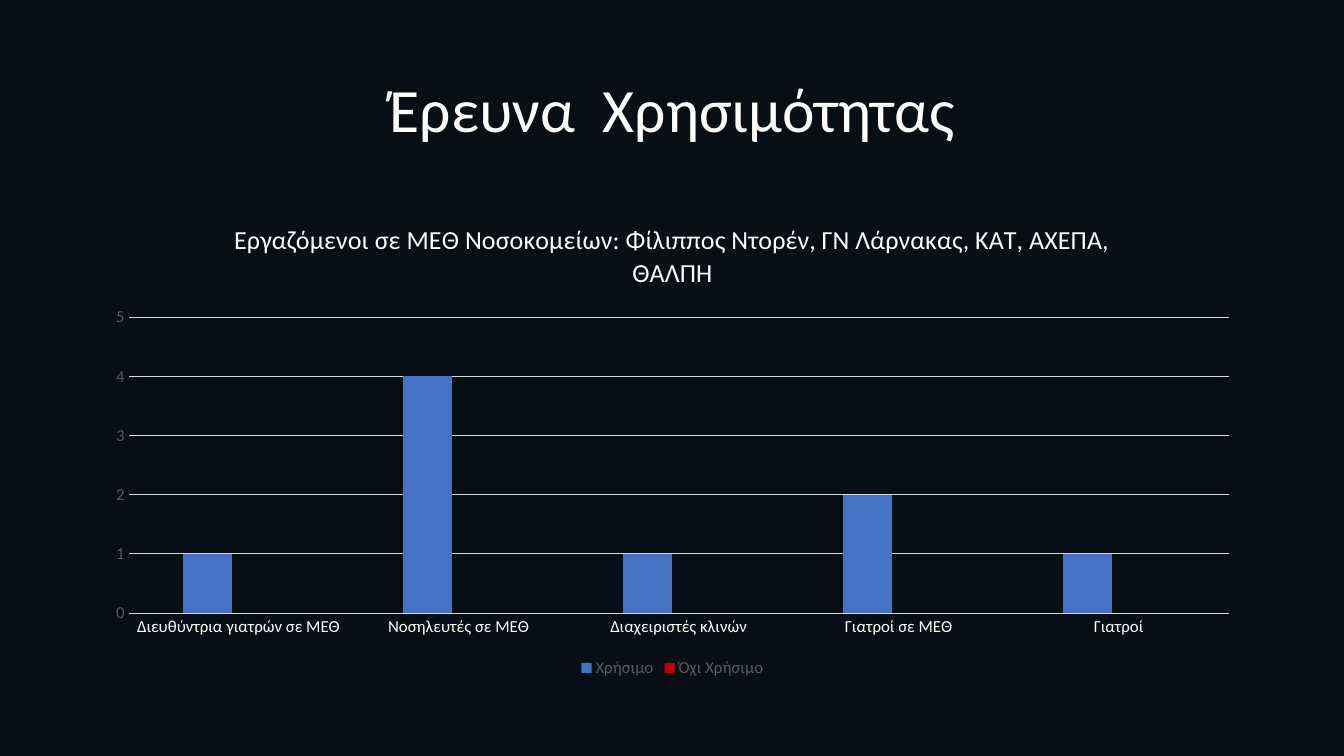
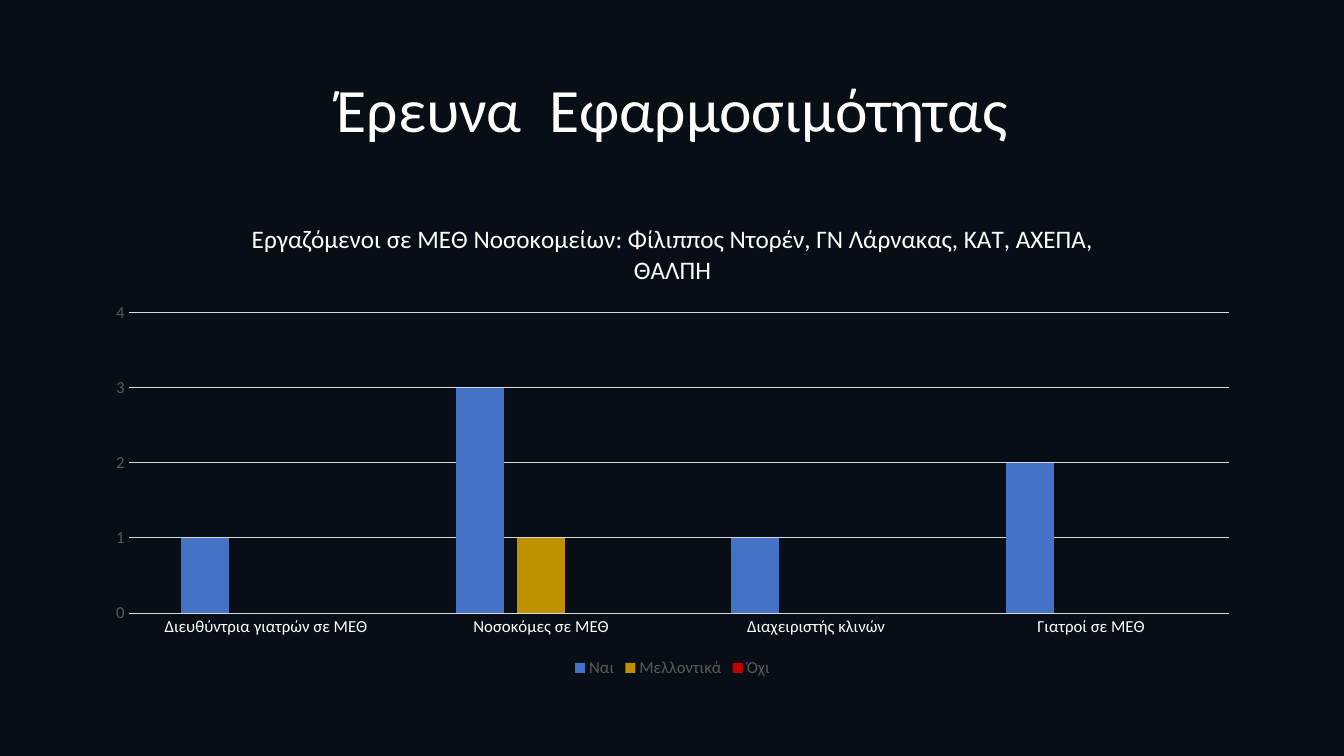
from pptx import Presentation
from pptx.chart.data import CategoryChartData
from pptx.dml.color import RGBColor
from pptx.enum.chart import XL_CHART_TYPE, XL_LEGEND_POSITION, XL_TICK_MARK
from pptx.enum.text import MSO_ANCHOR, PP_ALIGN
from pptx.util import Emu, Pt

COLUMNS = XL_CHART_TYPE.COLUMN_CLUSTERED
LEGEND_BOTTOM = XL_LEGEND_POSITION.BOTTOM
NO_TICKS = XL_TICK_MARK.NONE
MIDDLE = MSO_ANCHOR.MIDDLE
CENTER = PP_ALIGN.CENTER

FONT = "Calibri"
BACKGROUND, WHITE, GRAY, RULE = "070E16", "FFFFFF", "595959", "D9D9D9"
BLUE, GOLD, RED = "4472C4", "BF9000", "C00000"
EMU_PER_PX = 914400 / 100.8
TITLE_BOX = (93, 40, 1159, 146)
CHART_BOX = (93, 202, 1159, 480)
HOSPITALS = "Εργαζόμενοι σε ΜΕΘ Νοσοκομείων: Φίλιππος Ντορέν, ΓΝ Λάρνακας, ΚΑΤ, ΑΧΕΠΑ, ΘΑΛΠΗ"

SURVEYS = [
    {
        "title": "Έρευνα  Χρησιμότητας",
        "caption_size": 18.6,
        "top": 5,
        "groups": ["Διευθύντρια γιατρών σε ΜΕΘ", "Νοσηλευτές σε ΜΕΘ",
                   "Διαχειριστές κλινών", "Γιατροί σε ΜΕΘ", "Γιατροί"],
        "answers": [("Χρήσιμο", BLUE, [1, 4, 1, 2, 1]),
                    ("Όχι Χρήσιμο", RED, [None] * 5)],
    },
    {
        "title": "Έρευνα  Εφαρμοσιμότητας",
        "caption_size": 18,
        "top": 4,
        "groups": ["Διευθύντρια γιατρών σε ΜΕΘ", "Νοσοκόμες σε ΜΕΘ",
                   "Διαχειριστής κλινών", "Γιατροί σε ΜΕΘ"],
        "answers": [("Ναι", BLUE, [1, 3, 1, 2]),
                    ("Μελλοντικά", GOLD, [None, 1, None, None]),
                    ("Όχι", RED, [None] * 4)],
    },
]


def px(*lengths):
    return [Emu(round(length * EMU_PER_PX)) for length in lengths]


def style_font(font, size, color):
    font.name = FONT
    font.size = Pt(size)
    font.bold = False
    font.color.rgb = RGBColor.from_string(color)


prs = Presentation()
prs.slide_width, prs.slide_height = px(1344, 756)
master_fill = prs.slide_master.background.fill
master_fill.solid()
master_fill.fore_color.rgb = RGBColor.from_string(BACKGROUND)
title_only = prs.slide_layouts[5]

for survey in SURVEYS:
    slide = prs.slides.add_slide(title_only)
    title = slide.shapes.title
    title.left, title.top, title.width, title.height = px(*TITLE_BOX)
    title.text_frame.text = survey["title"]
    title.text_frame.vertical_anchor = MIDDLE
    heading = title.text_frame.paragraphs[0]
    heading.alignment = CENTER
    heading.line_spacing = 0.9
    style_font(heading.runs[0].font, 44, WHITE)

    chart_data = CategoryChartData()
    chart_data.categories = survey["groups"]
    for answer, _, votes in survey["answers"]:
        chart_data.add_series(answer, votes)
    chart = slide.shapes.add_chart(COLUMNS, *px(*CHART_BOX), chart_data).chart
    style_font(chart.font, 10, WHITE)

    chart.has_title = True
    caption = chart.chart_title.text_frame
    caption.text = HOSPITALS
    style_font(caption.paragraphs[0].runs[0].font, survey["caption_size"], WHITE)
    chart.chart_title.include_in_layout = False

    chart.has_legend = True
    chart.legend.position = LEGEND_BOTTOM
    chart.legend.include_in_layout = False
    style_font(chart.legend.font, 12, GRAY)

    group_axis, vote_axis = chart.category_axis, chart.value_axis
    for axis, label_color in ((group_axis, WHITE), (vote_axis, GRAY)):
        axis.major_tick_mark = axis.minor_tick_mark = NO_TICKS
        style_font(axis.tick_labels.font, 12, label_color)
    vote_axis.minimum_scale = 0
    vote_axis.maximum_scale = survey["top"]
    vote_axis.major_unit = 1
    vote_axis.format.line.fill.background()
    for line in (group_axis.format.line, vote_axis.major_gridlines.format.line):
        line.color.rgb = RGBColor.from_string(RULE)
        line.width = Pt(0.75)

    plot = chart.plots[0]
    plot.gap_width = 219
    plot.overlap = -27
    plot.vary_by_categories = False
    for bars, (_, color, _) in zip(plot.series, survey["answers"]):
        bars.format.fill.solid()
        bars.format.fill.fore_color.rgb = RGBColor.from_string(color)

prs.save("out.pptx")
